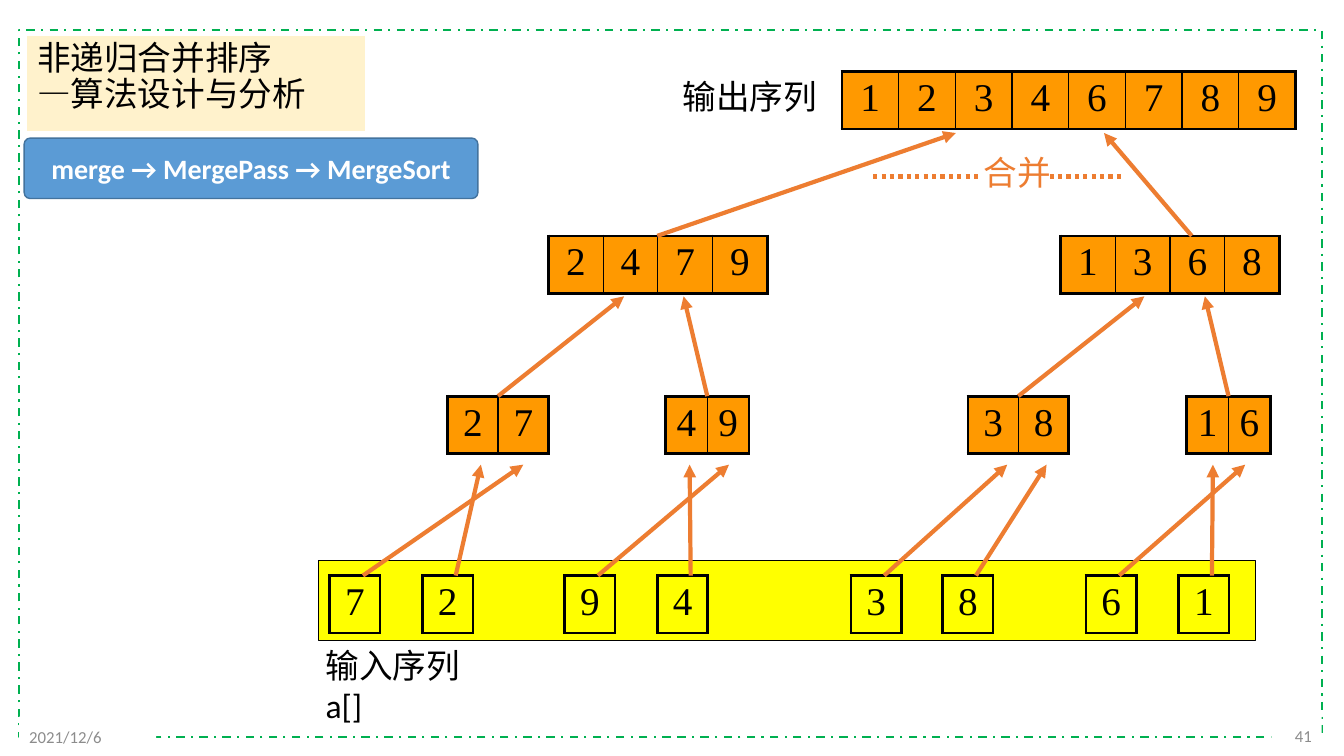
from lxml import etree
from pptx import Presentation
from pptx import util as u
from pptx.dml.color import RGBColor
from pptx.enum import dml, shapes, text
from pptx.oxml import ns

PX = 9144
HUE = {
    "black": "000000", "white": "FFFFFF", "green": "00B050", "yellow": "FFFF00",
    "amber": "FF9900", "rust": "ED7D31", "gray": "8C8C8C", "cream": "FFF2CC",
    "blue": "5B9BD5", "navy": "43739E",
}
HAN = "Noto Sans CJK SC"
MID = text.MSO_ANCHOR.MIDDLE
TOP = text.MSO_ANCHOR.TOP
LEFT, CENTER, RIGHT = text.PP_ALIGN.LEFT, text.PP_ALIGN.CENTER, text.PP_ALIGN.RIGHT

INPUT = [
    (327, "7", 519), (419, "2", 477), (560, "9", 723), (652, "4", 684),
    (844, "3", 999), (935, "8", 1038), (1077, "6", 1235), (1169, "1", 1203),
]
PAIRS = [
    (444, 100, "27", 619), (660, 83, "49", 678),
    (960, 100, "38", 1135), (1177, 83, "16", 1195),
]
FOURS = [(544, 217, "2479", 108, 948), (1052, 217, "1368", 130, 1095)]


def px(n):
    return u.Emu(round(n * PX))


def rgb(name):
    return RGBColor.from_string(HUE[name])


def write(para, words, size, hue, font="Calibri", bold=False):
    run = para.add_run()
    run.text = words
    run.font.size = u.Pt(size)
    run.font.bold = bold
    run.font.color.rgb = rgb(hue)
    run.font.name = font
    east = etree.SubElement(run.font._element, ns.qn("a:ea"))
    east.set("typeface", HAN)


def block(slide, box, fill=None, edge=None, width=1, kind=shapes.MSO_SHAPE.RECTANGLE):
    shape = slide.shapes.add_shape(kind, *map(px, box))
    shape.shadow.inherit = False
    if fill:
        shape.fill.solid()
        shape.fill.fore_color.rgb = rgb(fill)
    else:
        shape.fill.background()
    if edge:
        shape.line.color.rgb = rgb(edge)
        shape.line.width = u.Pt(width)
    else:
        shape.line.fill.background()
    return shape


def fill_text(shape, lines, size, hue, align=LEFT, anchor=MID, space=None, **face):
    frame = shape.text_frame
    frame.word_wrap = True
    frame.vertical_anchor = anchor
    for i, words in enumerate(lines):
        para = frame.add_paragraph() if i else frame.paragraphs[0]
        para.alignment = align
        para.line_spacing = space
        write(para, words, size, hue, **face)


def label(slide, box, lines, hue="black"):
    area = slide.shapes.add_textbox(*map(px, box))
    area.text_frame.word_wrap = True
    para = area.text_frame.paragraphs[0]
    for i, words in enumerate(lines):
        if i:
            para.add_line_break()
        write(para, words, 24, hue)


def line(slide, start, end, dash=None, head=False):
    link = slide.shapes.add_connector(
        shapes.MSO_CONNECTOR.STRAIGHT, *map(px, start + end))
    link.line.color.rgb = rgb("rust")
    link.line.width = u.Pt(3)
    if dash:
        link.line.dash_style = dash
    if head:
        tip = etree.SubElement(link.line._get_or_add_ln(), ns.qn("a:tailEnd"))
        tip.set("type", "triangle")
    etree.SubElement(link._element.spPr, ns.qn("a:effectLst"))


def border(cell, widths):
    props = cell._tc.get_or_add_tcPr()
    for i, (side, width) in enumerate(zip("LRTB", widths)):
        edge = etree.Element(ns.qn("a:ln" + side), w=str(u.Pt(width)))
        fill = etree.SubElement(edge, ns.qn("a:solidFill"))
        etree.SubElement(fill, ns.qn("a:srgbClr"), val=HUE["black"])
        props.insert(i, edge)


def array(slide, box, digits, fill="amber"):
    count = len(digits)
    table = slide.shapes.add_table(1, count, *map(px, box)).table
    table.first_row = table.horz_banding = False
    for i, digit in enumerate(digits):
        table.columns[i].width = px(box[2] / count)
        cell = table.cell(0, i)
        if fill:
            cell.fill.solid()
            cell.fill.fore_color.rgb = rgb(fill)
        else:
            cell.fill.background()
        border(cell, (1 if i else 2.25, 1 if i < count - 1 else 2.25, 2.25, 2.25))
        para = cell.text_frame.paragraphs[0]
        para.alignment = CENTER
        write(para, digit, 28, "black", "Times New Roman")


def frame(slide, box):
    x, y, w, h = box
    edge = block(slide, box, None, "green", 1.5)
    edge.line.dash_style = dml.MSO_LINE.DASH_DOT
    page = block(slide, (x + w - 50, y + h - 21, 50, 40), "white")
    fill_text(page, ["41"], 12, "gray", RIGHT)
    date = block(slide, (x, y + h - 20, 136, 40), "white")
    fill_text(date, ["2021/12/6"], 12, "gray")


def tree(slide, box):
    x, y, w, h = box
    four, pair, leaf = y + 163, y + 322, y + 500
    block(slide, (x, leaf - 15, 929, 79), "yellow", "black", 0.75)
    label(slide, (x - 3, leaf + 64, 192, 51), ["输入序列", "a[]"])
    for left, digit, goal in INPUT:
        array(slide, (left, leaf, 50, 57), digit, None)
        line(slide, (left + 33, leaf), (goal, pair + 68), head=True)
    for left, wide, digits, goal in PAIRS:
        array(slide, (left, pair, wide, 57), digits)
        line(slide, (left + wide / 2, pair), (goal, four + 60), head=True)
    for left, wide, digits, start, goal in FOURS:
        array(slide, (left, four, wide, 57), digits)
        line(slide, (left + start, four), (goal, y + 61), head=True)
    array(slide, (x + w - 450, y, 450, 57), "12346789")
    label(slide, (x + 351, y - 1, 155, 50), ["输出序列"])
    label(slide, (x + 650, y + 75, 88, 50), ["合并"], "rust")
    for start, end in ((550, 658), (725, 800)):
        line(slide, (x + start, y + 104), (x + end, y + 104), dml.MSO_LINE.ROUND_DOT)


def title(slide, box):
    x, y, w, h = box
    head = block(slide, (x + 3, y, 335, 94), "cream")
    fill_text(head, ["非递归合并排序", "—算法设计与分析"], 24, "black",
              anchor=TOP, space=0.9, font=HAN)
    flow = block(slide, (x, y + h - 60, w, 60), "blue", "navy", 1,
                 shapes.MSO_SHAPE.ROUNDED_RECTANGLE)
    flow.adjustments[0] = 0.1
    fill_text(flow, ["merge → MergePass → MergeSort"], 20, "white", CENTER, bold=True)


def main():
    deck = Presentation()
    deck.slide_width, deck.slide_height = px(1333), px(750)
    slide = deck.slides.add_slide(deck.slide_layouts[6])
    frame(slide, (19, 30, 1292, 701))
    tree(slide, (316, 71, 969, 615))
    title(slide, (24, 36, 450, 161))
    deck.save("out.pptx")


if __name__ == "__main__":
    main()
